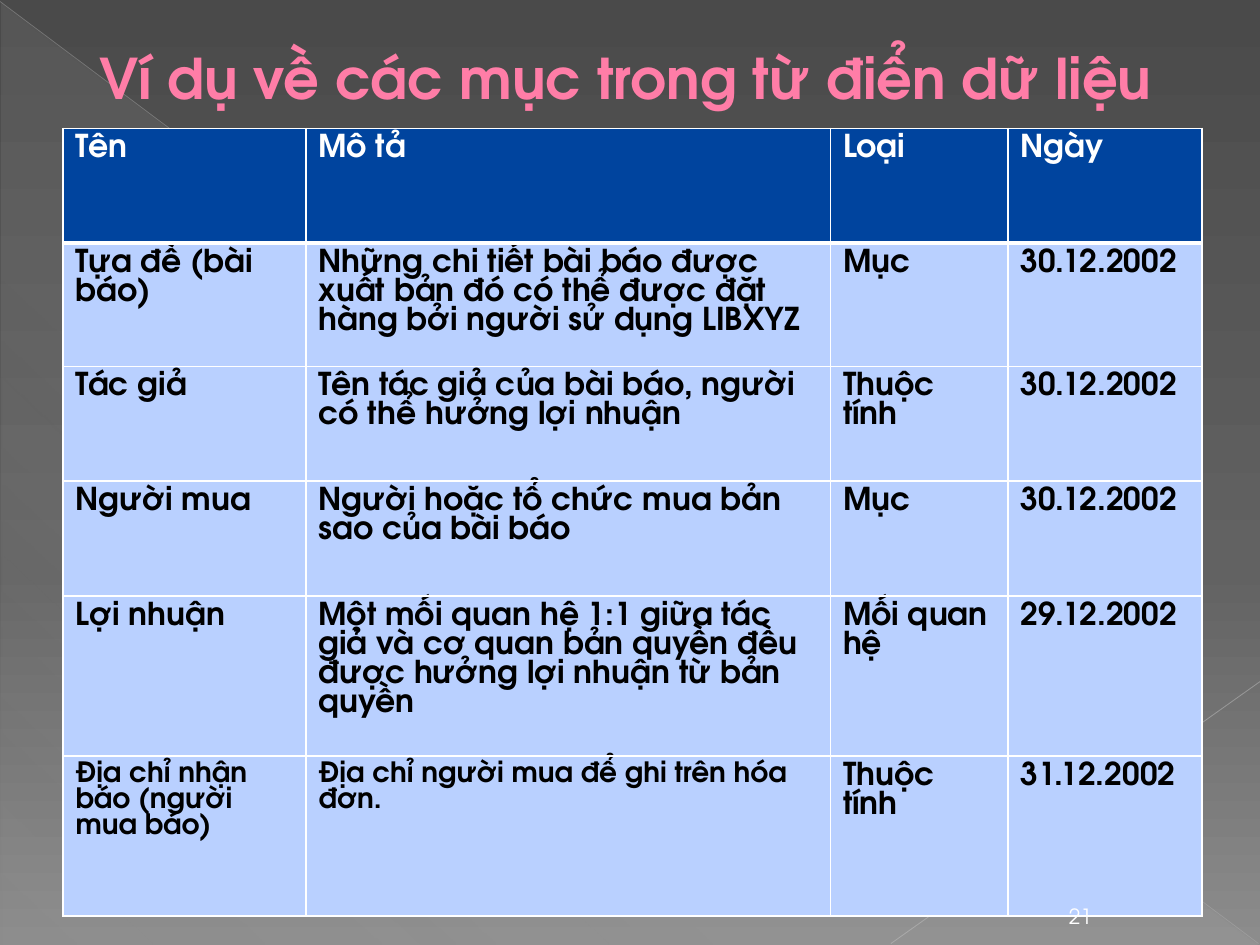
from lxml import etree
from pptx import Presentation
from pptx.dml.color import RGBColor
from pptx.enum.shapes import MSO_CONNECTOR, MSO_SHAPE
from pptx.enum.text import MSO_ANCHOR, PP_ALIGN
from pptx.oxml.ns import qn
from pptx.util import Cm, Pt

RIGHT_TRIANGLE = MSO_SHAPE.RIGHT_TRIANGLE
STRAIGHT = MSO_CONNECTOR.STRAIGHT
MIDDLE, BOTTOM = MSO_ANCHOR.MIDDLE, MSO_ANCHOR.BOTTOM
LEFT, CENTER = PP_ALIGN.LEFT, PP_ALIGN.CENTER

COLUMN_WIDTHS = [4.9, 10.57, 3.58, 3.91]
ROW_HEIGHTS = [2.31, 2.49, 2.31, 2.31, 3.23, 3.23]
ENTRIES = [
    ["Tên", "Mô tả", "Loại", "Ngày"],
    ["Tựa đề (bài báo)",
     "Những chi tiết bài báo được xuất bản đó có thể được đặt hàng bởi người sử dụng LIBXYZ",
     "Mục", "30.12.2002"],
    ["Tác giả", "Tên tác giả của bài báo, người có thể hưởng lợi nhuận",
     "Thuộc tính", "30.12.2002"],
    ["Người mua", "Người hoặc tổ chức mua bản sao của bài báo",
     "Mục", "30.12.2002"],
    ["Lợi nhuận",
     "Một mối quan hệ 1:1 giữa tác giả và cơ quan bản quyền đều được hưởng lợi nhuận từ bản quyền",
     "Mối quan hệ", "29.12.2002"],
    ["Địa chỉ nhận báo (người mua báo)", "Địa chỉ người mua để ghi trên hóa đơn.",
     "Thuộc tính", "31.12.2002"],
]


def rgb(color):
    return RGBColor.from_string(color)


def add_color(parent, color, opacity=100):
    node = etree.SubElement(parent, qn("a:srgbClr"), val=color)
    if opacity < 100:
        etree.SubElement(node, qn("a:alpha"), val=str(opacity * 1000))


class DictionarySlide:
    font = "TeX Gyre Adventor"
    white, black, pink = "FFFFFF", "000000", "FF7DA7"
    header_fill, body_fill = "00449E", "B9D0FF"
    line_pitch = 0.92

    def __init__(self, slide):
        self.slide = slide

    def gradient(self, fill, owner, stops, angle):
        """Fill with (position, colour, opacity) stops; angle runs clockwise."""
        fill.gradient()
        fill.gradient_angle = 360 - angle
        stop_list = owner.find(".//" + qn("a:gsLst"))
        for old_stop in list(stop_list):
            stop_list.remove(old_stop)
        for position, color, opacity in stops:
            stop = etree.SubElement(stop_list, qn("a:gs"), pos=str(position * 1000))
            add_color(stop, color, opacity)

    def background(self, stops, angle):
        self.gradient(self.slide.background.fill, self.slide.element, stops, angle)

    def triangle(self, left, top, width, height, stops, angle):
        triangle = self.slide.shapes.add_shape(
            RIGHT_TRIANGLE, Cm(left), Cm(top), Cm(width), Cm(height))
        triangle.shadow.inherit = False
        triangle.line.fill.background()
        self.gradient(triangle.fill, triangle.element, stops, angle)

    def line(self, x1, y1, x2, y2, color, width, opacity):
        line = self.slide.shapes.add_connector(STRAIGHT, Cm(x1), Cm(y1), Cm(x2), Cm(y2))
        line.line.width = Pt(width)
        line.line.color.rgb = rgb(color)
        tint = line.element.spPr.find(".//" + qn("a:srgbClr"))
        etree.SubElement(tint, qn("a:alpha"), val=str(opacity * 1000))
        etree.SubElement(line.element.spPr, qn("a:effectLst"))

    def set_text(self, frame, text, size, color, bold):
        frame.text = text
        font = frame.paragraphs[0].runs[0].font
        font.name, font.size, font.bold = self.font, Pt(size), bold
        font.color.rgb = rgb(color)

    def text(self, left, top, width, height, text, size, color,
             bold=False, anchor=MIDDLE, align=LEFT, indent=0.0):
        box = self.slide.shapes.add_textbox(Cm(left), Cm(top), Cm(width), Cm(height))
        frame = box.text_frame
        frame.word_wrap = True
        frame.vertical_anchor = anchor
        frame.margin_left = Cm(0.25 + indent)
        self.set_text(frame, text, size, color, bold)
        frame.paragraphs[0].alignment = align

    def borders(self, cell, widths):
        properties = cell._tc.get_or_add_tcPr()
        for side, width in widths.items():
            border = etree.SubElement(properties, qn("a:ln" + side), w=str(Pt(width)))
            add_color(etree.SubElement(border, qn("a:solidFill")), self.white)

    def cell(self, cell, text, size, is_header, below_header):
        self.borders(cell, {"L": 1, "R": 1, "T": 3 if below_header else 1,
                            "B": 3 if is_header else 1})
        cell.fill.solid()
        cell.fill.fore_color.rgb = rgb(self.header_fill if is_header else self.body_fill)
        self.set_text(cell.text_frame, text, size,
                      self.white if is_header else self.black, True)
        cell.text_frame.paragraphs[0].line_spacing = Pt(size * self.line_pitch)

    def table(self, left, top, widths, heights, entries):
        table = self.slide.shapes.add_table(
            len(heights), len(widths), Cm(left), Cm(top),
            Cm(sum(widths)), Cm(sum(heights))).table
        table.horz_banding = False
        for column, width in zip(table.columns, widths):
            column.width = Cm(width)
        for row, height in zip(table.rows, heights):
            row.height = Cm(height)
        last = len(entries) - 1
        for r, entry in enumerate(entries):
            for c, text in enumerate(entry):
                size = 16 if r == last and c < 2 else 18
                self.cell(table.cell(r, c), text, size, r == 0, r == 1)


def main():
    presentation = Presentation()
    presentation.slide_width, presentation.slide_height = Cm(25.4), Cm(19.05)
    page = DictionarySlide(presentation.slides.add_slide(presentation.slide_layouts[6]))

    page.background([(0, "4A4A4A", 100), (60, "626262", 100), (100, "8C8C8C", 100)], 90)
    page.triangle(0.03, 0.05, 25.35, 19,
                  [(0, "D2D2D2", 10), (70, "D2D2D2", 8), (100, "D2D2D2", 1)], 133)
    page.line(0, 0.03, 25.37, 19.02, "BFBFBF", 0.39, 35)
    page.line(25.4, 13.74, 17.96, 19.02, "C6C6C6", 0.47, 45)

    page.text(1.27, 0.74, 22.86, 1.63, "Ví dụ về các mục trong từ điển dữ liệu",
              32, page.pink, bold=True, indent=0.48)
    page.table(1.27, 2.59, COLUMN_WIDTHS, ROW_HEIGHTS, ENTRIES)
    page.text(21.08, 18.01, 1.4, 0.84, "21", 12, page.white, anchor=BOTTOM, align=CENTER)

    presentation.save("out.pptx")


if __name__ == "__main__":
    main()
